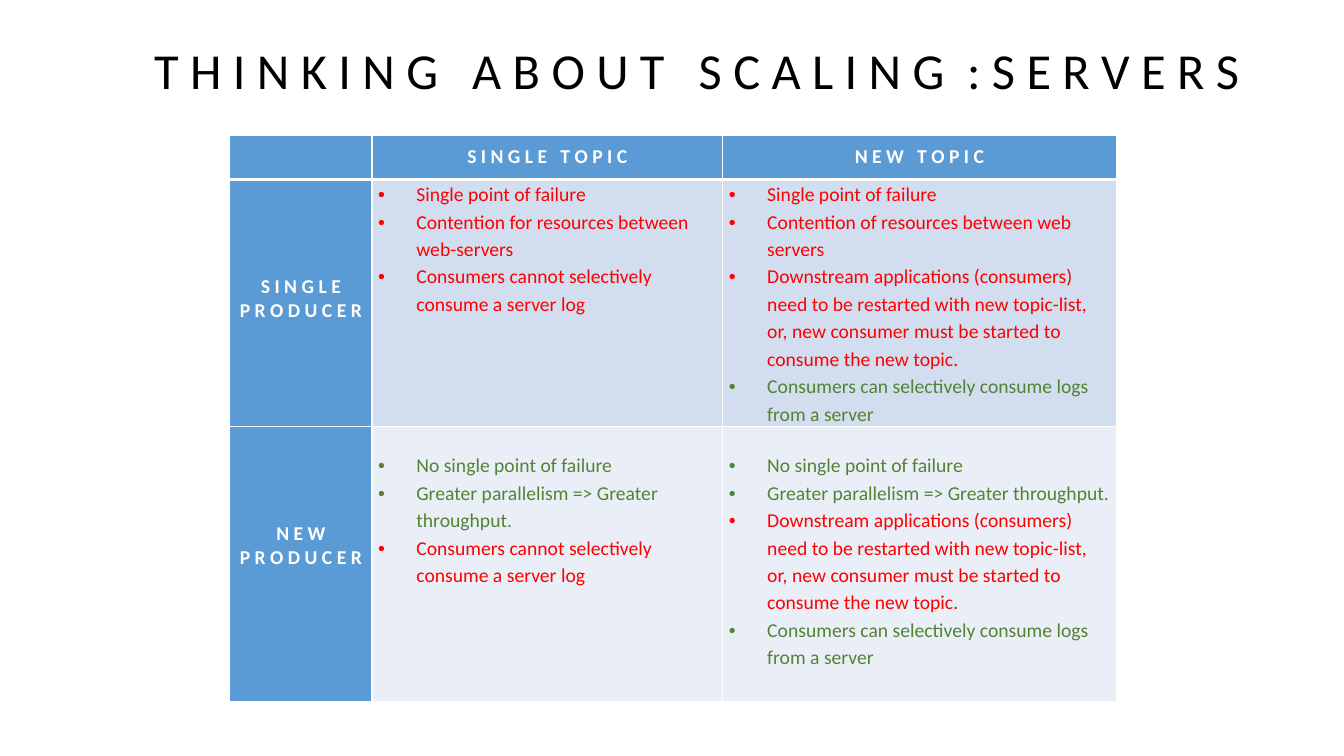
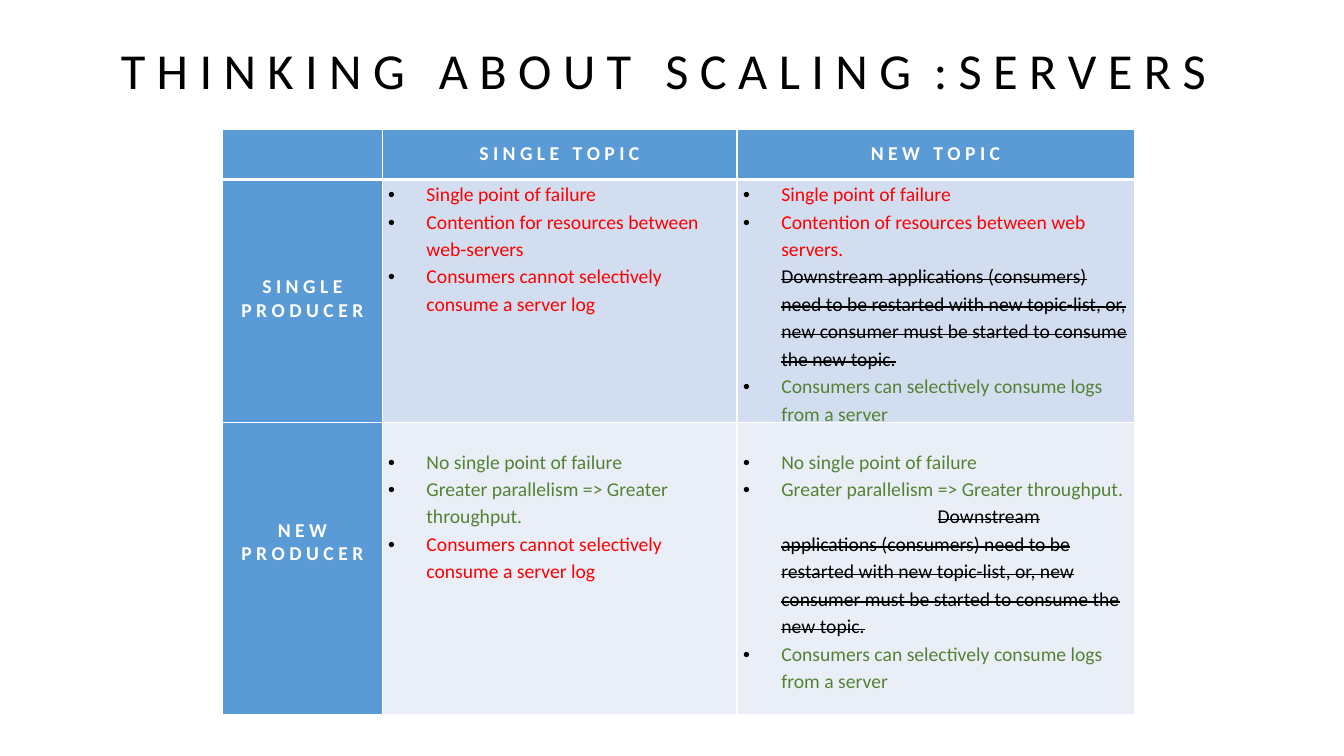
from lxml import etree
from pptx import Presentation
from pptx.dml.color import RGBColor
from pptx.enum.text import MSO_ANCHOR, PP_ALIGN
from pptx.oxml.ns import qn
from pptx.util import Inches, Pt

CENTER, LEFT = PP_ALIGN.CENTER, PP_ALIGN.LEFT
MIDDLE, TOP = MSO_ANCHOR.MIDDLE, MSO_ANCHOR.TOP

# Content: a bullet is a list of (tone, text) runs; "break" starts a new line
TITLE = "T H I N K I N G   A B O U T   S C A L I N G  : S E R V E R S"
TOPICS = ["SINGLE TOPIC", "NEW TOPIC"]
PRODUCERS = [["SINGLE", "PRODUCER"], ["NEW", "PRODUCER"]]
RESTART = ("Downstream applications (consumers) need to be restarted with new "
           "topic-list, or, new consumer must be started to consume the new topic.")
FAILURE = [("con", "Single point of failure")]
NO_FAILURE = [("pro", "No single point of failure")]
SHARED = [("con", "Contention for resources between web-servers")]
PARALLEL = [("pro", "Greater parallelism => Greater throughput.")]
NOT_SELECTIVE = [("con", "Consumers cannot selectively consume a server log")]
SELECTIVE = [("pro", "Consumers can selectively consume logs from a server")]
SOLVED = [("break", ""), ("solved", RESTART)]
SOLVED_INDENTED = [("break", ""), ("pro", "\t"), ("solved", RESTART)]

SINGLE_SINGLE = [FAILURE, SHARED, NOT_SELECTIVE]
NEW_SINGLE = [NO_FAILURE, PARALLEL, NOT_SELECTIVE]
CONTENTION = "Contention of resources between web servers"

SLIDES = [
    {"title_left": 1.43, "table": (2.28, 1.34), "bullet": None,
     "cols": [1.41, 3.48, 3.9], "rows": [0.44, 2.45, 2.73],
     "cells": [
         [SINGLE_SINGLE,
          [FAILURE, [("con", CONTENTION)], [("con", RESTART)], SELECTIVE]],
         [NEW_SINGLE,
          [NO_FAILURE, PARALLEL, [("con", RESTART)], SELECTIVE]]]},
    {"title_left": 1.1, "table": (2.21, 1.28), "bullet": "text",
     "cols": [1.58, 3.52, 3.94], "rows": [0.5, 2.31, 2.48],
     "cells": [
         [SINGLE_SINGLE,
          [FAILURE, [("con", CONTENTION + ".")] + SOLVED, SELECTIVE]],
         [NEW_SINGLE,
          [NO_FAILURE, PARALLEL + SOLVED_INDENTED, SELECTIVE]]]},
]

# Shared style
COLORS = {"text": "000000", "white": "FFFFFF", "head": "5B9BD5",
          "con": "FF0000", "pro": "548235", "solved": "000000"}
ROW_FILLS = ["D2DEEF", "EAEFF7"]
FONT = "Calibri"
BODY_SIZE, TITLE_SIZE = 14, 36
HANG, TAB = Inches(0.38), Inches(1.93)
LABEL_TOP = 0.95
BODY_PADS = [(0, 0), (0.24, 0.24)]


def sub(parent, tag, **attrs):
    return etree.SubElement(parent, qn(tag), attrs)


def solid(parent, color):
    sub(sub(parent, "a:solidFill"), "a:srgbClr", val=color)


def add_run(p, text, color, size=BODY_SIZE, bold=False, strike=False):
    r = p.add_run()
    r.text = text
    for name, value in {"name": FONT, "size": Pt(size), "bold": bold}.items():
        setattr(r.font, name, value)
    r.font.color.rgb = RGBColor.from_string(color)
    if strike:
        r.font._element.set("strike", "sngStrike")


def paragraphs(tf, items):
    for i, item in enumerate(items):
        yield (tf.add_paragraph() if i else tf.paragraphs[0]), item


def style_cell(cell, fill, anchor=TOP, pads=(0, 0), top=1, bottom=1):
    top_pad, bottom_pad = pads
    form = {"margin_left": Inches(0.06), "margin_right": Inches(0.06),
            "margin_top": Inches(top_pad), "margin_bottom": Inches(bottom_pad),
            "vertical_anchor": anchor}
    for name, value in form.items():
        setattr(cell, name, value)
    tcPr = cell._tc.get_or_add_tcPr()
    for side, width in {"L": 1, "R": 1, "T": top, "B": bottom}.items():
        solid(sub(tcPr, "a:ln" + side, w=str(Pt(width))), COLORS["white"])
    cell.fill.solid()
    cell.fill.fore_color.rgb = RGBColor.from_string(fill)


def write_label(cell, lines):
    for p, line in paragraphs(cell.text_frame, lines):
        p.alignment = CENTER
        add_run(p, " ".join(line), COLORS["white"], bold=True)


def write_bullets(cell, bullets, bullet_color):
    for p, runs in paragraphs(cell.text_frame, bullets):
        p.alignment, p.line_spacing = LEFT, 1.15
        pPr = p._p.get_or_add_pPr()
        pPr.set("marL", str(HANG))
        pPr.set("indent", str(-HANG))
        if bullet_color:
            sub(sub(pPr, "a:buClr"), "a:srgbClr", val=COLORS[bullet_color])
        sub(pPr, "a:buFont", typeface="Arial")
        sub(pPr, "a:buChar", char="•")
        if any(text == "\t" for _, text in runs):
            sub(sub(pPr, "a:tabLst"), "a:tab", pos=str(TAB), algn="l")
        for tone, text in runs:
            if tone == "break":
                sub(sub(p._p, "a:br"), "a:rPr", sz=str(BODY_SIZE * 100))
            else:
                add_run(p, text, COLORS[tone], strike=tone == "solved")


def add_title(s, left):
    tf = s.shapes.add_textbox(Inches(left), 0, Inches(11.5), Inches(1.45)).text_frame
    tf.word_wrap, tf.vertical_anchor = True, MIDDLE
    p = tf.paragraphs[0]
    p.line_spacing = 0.9
    add_run(p, TITLE, COLORS["text"], TITLE_SIZE)


def add_matrix(s, spec_):
    cols, rows = spec_["cols"], spec_["rows"]
    left, top = spec_["table"]
    table = s.shapes.add_table(len(rows), len(cols), Inches(left), Inches(top),
                               Inches(sum(cols)), Inches(sum(rows))).table
    table.first_row = table.horz_banding = False
    for col, width in zip(table.columns, cols):
        col.width = Inches(width)
    for row, height in zip(table.rows, rows):
        row.height = Inches(height)

    # Header row
    for c, topic in enumerate([""] + TOPICS):
        style_cell(table.cell(0, c), COLORS["head"], MIDDLE, bottom=3)
        if topic:
            write_label(table.cell(0, c), [topic])

    # One row for each producer choice
    for i, (producer, bodies) in enumerate(zip(PRODUCERS, spec_["cells"])):
        line = 1 if i else 3
        label = table.cell(i + 1, 0)
        style_cell(label, COLORS["head"], pads=(LABEL_TOP, 0), top=line)
        write_label(label, producer)
        for c, bullets in enumerate(bodies, 1):
            cell = table.cell(i + 1, c)
            style_cell(cell, ROW_FILLS[i], pads=BODY_PADS[i], top=line)
            write_bullets(cell, bullets, spec_["bullet"])


prs = Presentation()
prs.slide_width, prs.slide_height = Inches(13.33), Inches(7.5)
for content in SLIDES:
    s = prs.slides.add_slide(prs.slide_layouts[6])
    add_title(s, content["title_left"])
    add_matrix(s, content)
prs.save("out.pptx")
